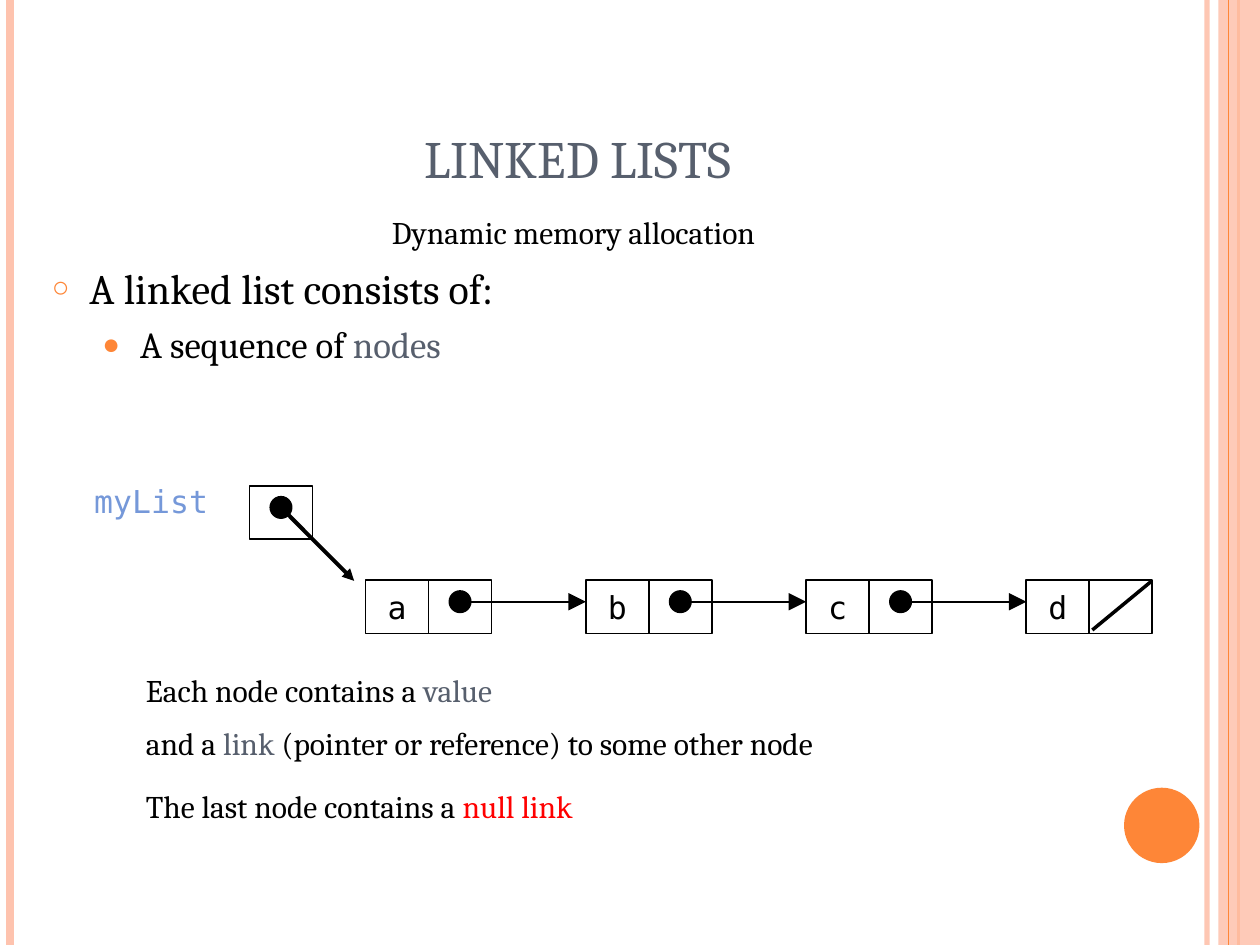
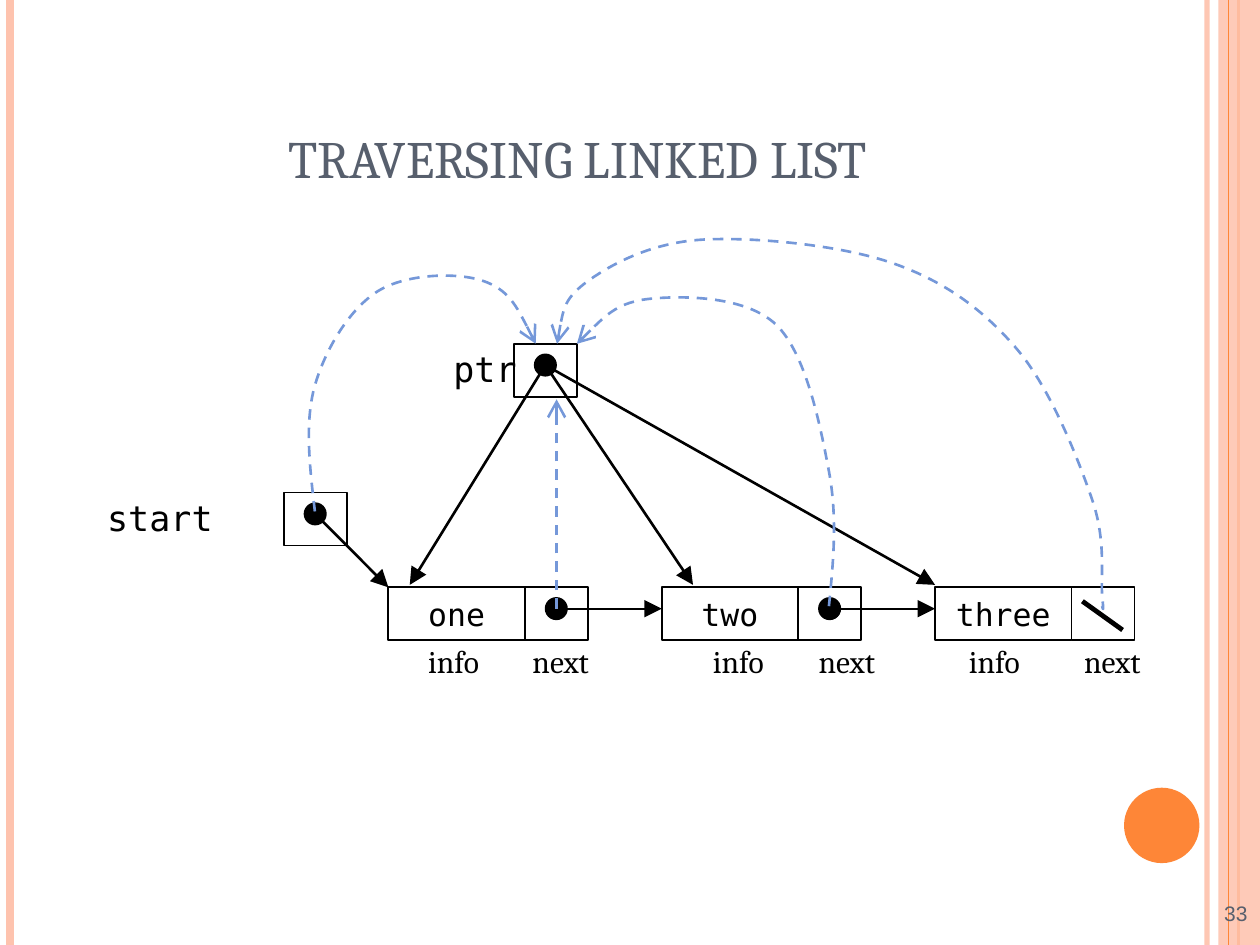
from dataclasses import dataclass
from typing import Any, NamedTuple

from lxml import etree
from pptx import Presentation
from pptx import util as u
from pptx.dml import color as dml
from pptx.enum import dml as pens
from pptx.enum import shapes as kinds
from pptx.enum import text as txt
from pptx.oxml import ns

Cm = u.Cm
BLACK, SLATE, BLUE = "000000", "575F6D", "7598D9"
ORANGE, PEACH, RED = "FE8637", "FEC3AE", "FF0000"
SERIF, MONO, SANS = "Cambria", "DejaVu Sans Mono", "Arial"
LEFT, MID, RIGHT = txt.PP_ALIGN.LEFT, txt.PP_ALIGN.CENTER, txt.PP_ALIGN.RIGHT
TOP, HALF, BASE = txt.MSO_ANCHOR.TOP, txt.MSO_ANCHOR.MIDDLE, txt.MSO_ANCHOR.BOTTOM
RECT, OVAL = kinds.MSO_SHAPE.RECTANGLE, kinds.MSO_SHAPE.OVAL
LINK, TALL = 1.27, 1.07  # width of a link cell, height of every cell
DOT, DROP = 0.43, 0.43  # dot size, depth of its centre below the cell top


class Point(NamedTuple):
    x: float
    y: float


class Box(NamedTuple):
    left: float
    top: float
    width: float
    height: float


class Run(NamedTuple):
    text: str
    color: str = BLACK


@dataclass
class Style:
    size: float = 18
    font: str = SERIF
    align: Any = LEFT
    anchor: Any = TOP
    wrap: bool = True


@dataclass
class Pen:
    color: str = BLACK
    width: float = 1
    head: str = ""
    scale: str = "lg"
    dash: bool = False


@dataclass
class Row:
    """A row of equal list nodes, each with a value cell and a link cell."""
    left: float
    top: float
    step: float
    width: float
    values: tuple[str, ...]

    def start(self, i: int) -> float:
        return self.left + i * self.step


def tint(color: str) -> dml.RGBColor:
    return dml.RGBColor.from_string(color)


def cms(values: tuple[float, ...]) -> list[u.Length]:
    return [Cm(v) for v in values]


def assign(item: Any, values: dict[str, Any]) -> None:
    for name, value in values.items():
        setattr(item, name, value)


def tag(parent: Any, name: str, **attrs: str) -> Any:
    return etree.SubElement(parent, ns.qn(name), attrs)


def fade(shape: Any, share: int) -> None:
    """Make the shape's colours opaque by the given percentage."""
    for clr in shape.element.spPr.iter(ns.qn("a:srgbClr")):
        tag(clr, "a:alpha", val=str(share * 1000))


def stroke(shape: Any, pen: Pen) -> None:
    shape.line.color.rgb = tint(pen.color)
    shape.line.width = u.Pt(pen.width)
    if pen.dash:
        shape.line.dash_style = pens.MSO_LINE.DASH
    if pen.head:
        ln = shape.element.spPr.find(ns.qn("a:ln"))
        tag(ln, "a:tailEnd", type=pen.head, w=pen.scale, len=pen.scale)


def line(slide: Any, a: Point, b: Point, pen: Pen) -> Any:
    shape = slide.shapes.add_connector(kinds.MSO_CONNECTOR.STRAIGHT, *cms((*a, *b)))
    stroke(shape, pen)
    tag(shape.element.spPr, "a:effectLst")
    return shape


def form(slide: Any, kind: Any, box: Box, fill: str = "", pen: Pen | None = None) -> Any:
    shape = slide.shapes.add_shape(kind, *cms(box))
    shape.shadow.inherit = False
    if fill:
        shape.fill.solid()
        shape.fill.fore_color.rgb = tint(fill)
    else:
        shape.fill.background()
    if pen:
        stroke(shape, pen)
    else:
        shape.line.fill.background()
    return shape


def curve(slide: Any, knots: list[Point], pen: Pen) -> None:
    """Draw a smooth curve through the knots."""
    def blend(p: Point, q: Point, r: Point, k: float) -> Point:
        return Point(p.x + k * (r.x - q.x), p.y + k * (r.y - q.y))

    triples = list(zip(knots, knots[1:], knots[2:]))
    before = [blend(m, a, b, -1 / 6) for a, m, b in triples]
    after = [blend(m, a, b, 1 / 6) for a, m, b in triples]
    after.insert(0, blend(knots[0], knots[0], before[0], 0.5))
    before.append(blend(knots[-1], knots[-1], after[-1], 0.5))
    track = [p for trio in zip(after, before, knots[1:]) for p in trio]
    maker = slide.shapes.build_freeform(*cms(knots[0]))
    maker.add_line_segments([cms(p) for p in track], close=False)
    shape = maker.convert_to_shape()
    shape.shadow.inherit = False
    shape.fill.background()
    stroke(shape, pen)
    route = next(shape.element.iter(ns.qn("a:path")))
    legs = route.findall(ns.qn("a:lnTo"))
    for i in range(0, len(legs), 3):
        bend = tag(route, "a:cubicBezTo")
        for leg in legs[i:i + 3]:
            bend.append(leg[0])
            route.remove(leg)


def fill_in(par: Any, runs: list[Run], style: Style) -> None:
    par.alignment = style.align
    for part in runs:
        run = par.add_run()
        run.text = part.text
        assign(run.font, {"size": u.Pt(style.size), "name": style.font})
        run.font.color.rgb = tint(part.color)


def write(shape: Any, runs: list[Run], style: Style) -> None:
    frame = shape.text_frame
    assign(frame, {"word_wrap": style.wrap, "vertical_anchor": style.anchor,
                   "auto_size": txt.MSO_AUTO_SIZE.NONE})
    fill_in(frame.paragraphs[0], runs, style)


def label(slide: Any, box: Box, runs: list[Run], style: Style) -> None:
    write(slide.shapes.add_textbox(*cms(box)), runs, style)


def place(shape: Any, box: Box) -> None:
    assign(shape, dict(zip(("left", "top", "width", "height"), cms(box))))


def head(slide: Any, title: str) -> None:
    place(slide.shapes.title, Box(1.27, 0.76, 20.75, 3.18))
    write(slide.shapes.title, [Run(title, SLATE)], Style(30, align=MID, anchor=BASE))


def dress(prs: Any, slide: Any) -> None:
    """Draw the side bands and the disc, then hand them to the slide master."""
    def band(x: float, color: str, width: float) -> Any:
        return line(slide, Point(x, 0), Point(x, 19.05), Pen(color, width))

    edge = band(24.33, PEACH, 3)
    fade(edge, 93)
    parts = [edge, band(0.2, PEACH, 4.5), band(24.97, ORANGE, 1.5)]
    strip = form(slide, RECT, Box(24.56, 0, 0.84, 19.05), PEACH)
    fade(strip, 87)
    parts += [strip, band(24.77, ORANGE, 0.75),
              form(slide, OVAL, Box(22.66, 15.88, 1.52, 1.52), ORANGE)]
    for i, part in enumerate(parts, 50):
        part.element.xpath("./*/p:cNvPr")[0].set("id", str(i))
        prs.slide_master.shapes.element.append(part.element)


def link(slide: Any, left: float, top: float, dot: bool = True) -> Point:
    """Draw a link cell and return the centre of its dot."""
    form(slide, RECT, Box(left, top, LINK, TALL), pen=Pen())
    hub = Point(left + LINK / 2, top + DROP)
    if dot:
        form(slide, OVAL, Box(hub.x - DOT / 2, hub.y - DOT / 2, DOT, DOT), BLACK, Pen())
    return hub


def chain(slide: Any, row: Row) -> None:
    last = len(row.values) - 1
    for i, value in enumerate(row.values):
        left = row.start(i)
        cell = form(slide, RECT, Box(left, row.top, row.width, TALL), pen=Pen())
        write(cell, [Run(value)], Style(font=MONO, align=MID, anchor=HALF, wrap=False))
        hub = link(slide, left + row.width, row.top, dot=i < last)
        if i < last:
            line(slide, hub, Point(row.start(i + 1), hub.y), Pen(head="triangle"))


def bullets(body: Any, items: list[tuple[str, int, float, float, list[Run]]]) -> None:
    """Fill the list; an item is mark, mark size, indent, text size, runs."""
    frame = body.text_frame
    frame.auto_size = txt.MSO_AUTO_SIZE.NONE
    for i, (mark, share, indent, size, runs) in enumerate(items):
        par = frame.add_paragraph() if i else frame.paragraphs[0]
        par.level = i
        par.space_before = u.Pt(size / 4)
        fill_in(par, runs, Style(size))
        props = par.element.pPr if hasattr(par, "element") else par._p.pPr
        props.set("marL", str(Cm(indent)))
        props.set("indent", str(-Cm(0.76)))
        tag(tag(props, "a:buClr"), "a:srgbClr", val=ORANGE)
        tag(props, "a:buSzPct", val=str(share * 1000))
        tag(props, "a:buFont", typeface=SANS)
        tag(props, "a:buChar", char=mark)


def intro(slide: Any) -> None:
    head(slide, "LINKED LISTS")
    label(slide, Box(1.19, 4.17, 20.75, 1.2), [Run("Dynamic memory allocation")],
          Style(align=MID))
    body = slide.placeholders[1]
    place(body, Box(0.79, 5.16, 23.83, 4.11))
    bullets(body, [
        ("○", 70, 0.76, 24, [Run("A linked list consists of:")]),
        ("●", 80, 1.78, 21, [Run("A sequence of "), Run("nodes", SLATE)]),
    ])
    notes = [
        (13.41, [Run("Each node contains a "), Run("value", SLATE)]),
        (14.48, [Run("and a "), Run("link", SLATE),
                 Run(" (pointer or reference) to some other node")]),
        (15.75, [Run("The last node contains a "), Run("null link", RED)]),
    ]
    for top, runs in notes:
        label(slide, Box(2.69, top, 19.25, 1.02), runs, Style())
    chain(slide, Row(7.37, 11.7, 4.44, LINK, ("a", "b", "c", "d")))
    label(slide, Box(1.65, 9.6, 3.61, 1.02), [Run("myList", BLUE)], Style(font=MONO))
    hub = link(slide, 5.03, 9.8)
    line(slide, hub, Point(7.14, 11.71), Pen(width=2.25, head="triangle", scale="med"))
    line(slide, Point(22.02, 12.7), Point(23.22, 11.71), Pen(width=2))


def walk(slide: Any) -> None:
    head(slide, "TRAVERSING LINKED LIST")
    label(slide, Box(20.12, 17.78, 5.28, 1.27), [Run("33", SLATE)],
          Style(12, SANS, RIGHT, HALF))
    row = Row(7.83, 11.84, 5.51, 2.75, ("one", "two", "three"))
    chain(slide, row)
    for name, left, top in (("ptr", 8.89, 6.88), ("start", 1.91, 9.88)):
        label(slide, Box(left, top, 4, 1.12), [Run(name)], Style(20, MONO))
    solid = Pen(width=1.5, head="triangle")
    line(slide, link(slide, 5.72, 9.93), Point(row.left, row.top), solid)
    hub = link(slide, 10.36, 6.93)
    for x in (8.26, 13.97, 18.85):
        line(slide, hub, Point(x, 11.79), solid)
    dashed = Pen(BLUE, 1.5, "arrow", dash=True)
    line(slide, Point(11.22, 12.27), Point(11.22, 8.05), dashed)
    routes = [
        [(6.35, 10.31), (6.35, 7.77), (7.62, 5.87), (9.73, 5.66), (10.8, 6.93)],
        [(16.71, 12.22), (16.71, 9.5), (15.65, 6.55), (13.13, 6.02), (11.63, 6.93)],
        [(22.22, 12.22), (22.22, 12.01), (22.02, 10.08), (20.52, 7.06),
         (18.01, 5.31), (14.17, 4.83), (11.86, 5.66), (11.23, 6.93)],
    ]
    for knots in routes:
        curve(slide, [Point(*k) for k in knots], dashed)
    line(slide, Point(21.82, 12.12), Point(22.63, 12.7), Pen(width=2.75))
    names = {"info": (7.95, 13.69, 18.85), "next": (10.11, 15.88, 21.23)}
    for name, lefts in names.items():
        for left in lefts:
            label(slide, Box(left, 13.11, 2.39, 0.41), [Run(name)],
                  Style(align=MID, anchor=HALF))


def main() -> None:
    prs = Presentation()
    assign(prs, {"slide_width": Cm(25.4), "slide_height": Cm(19.05)})
    first, second = (prs.slides.add_slide(prs.slide_layouts[i]) for i in (1, 5))
    dress(prs, first)
    intro(first)
    walk(second)
    prs.save("out.pptx")


if __name__ == "__main__":
    main()
